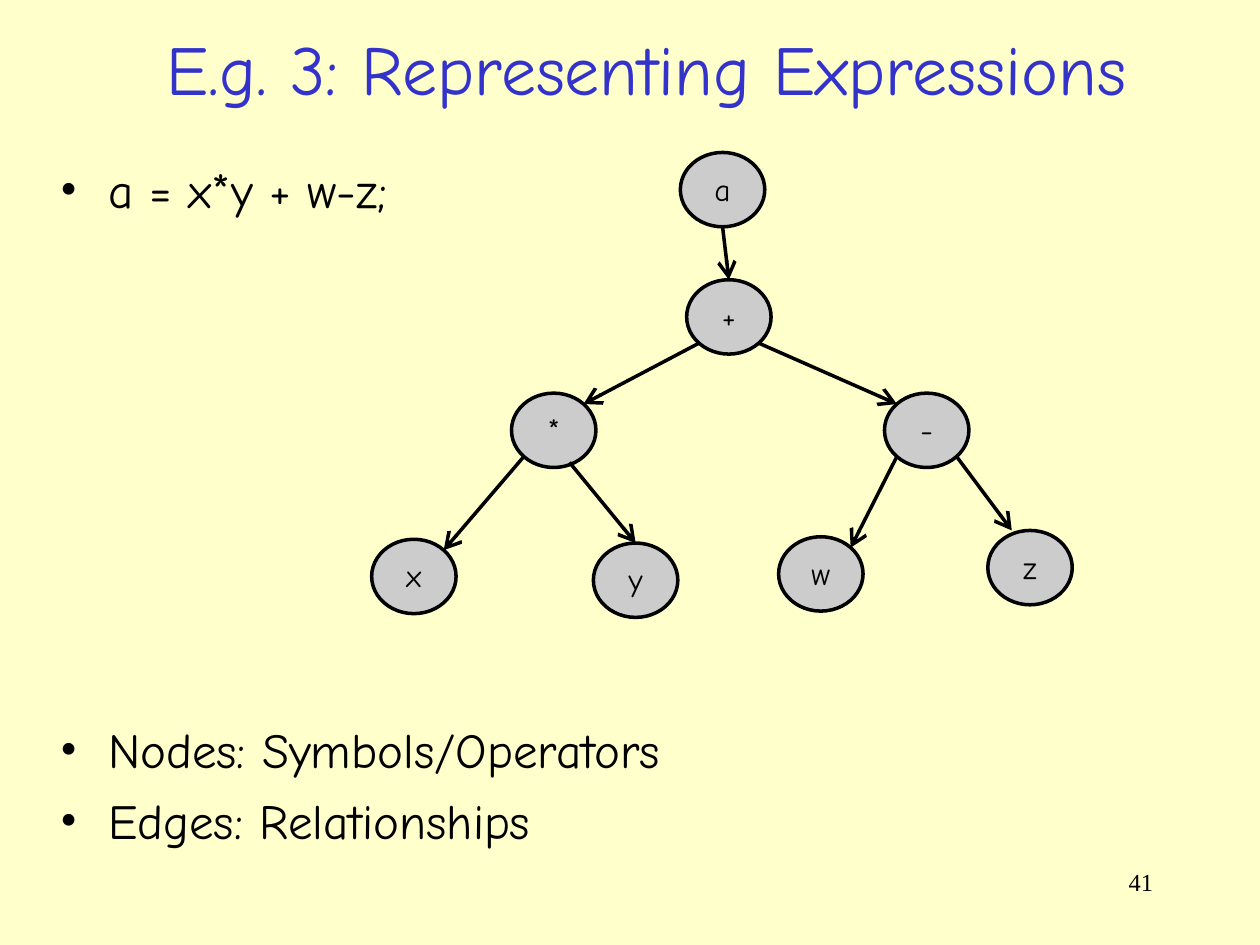
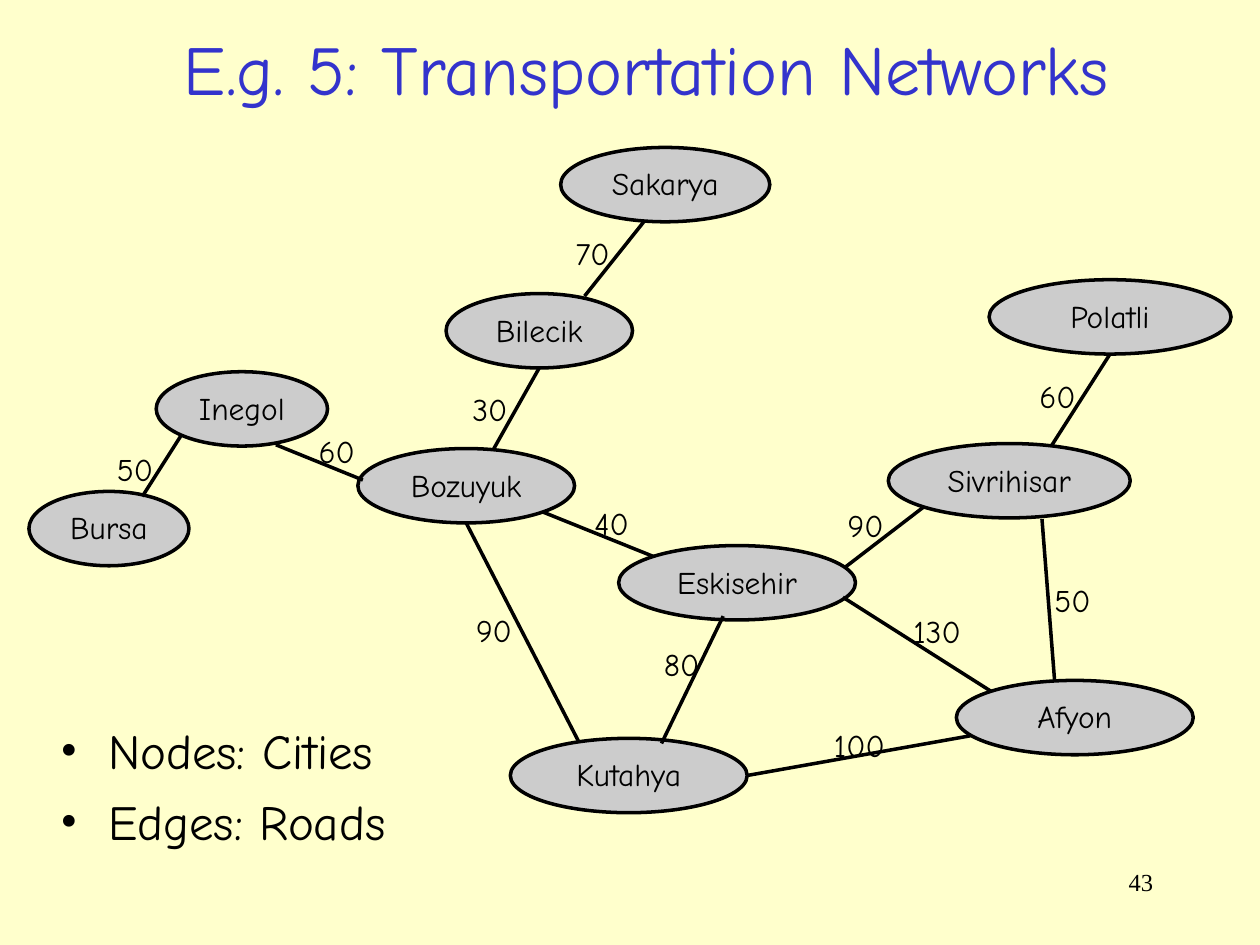
from dataclasses import dataclass
from lxml import etree
from pptx import Presentation
from pptx import util as u
from pptx.dml import color
from pptx.enum import shapes, text
from pptx.oxml import ns


@dataclass(frozen=True)
class Theme:
    page: str = "FFFFCC"
    head: str = "3333CC"
    ink: str = "000000"
    node: str = "CCCCCC"
    font: str = "Comic Neue"
    serif: str = "Times New Roman"
    big: int = 40
    mid: int = 28
    small: int = 18
    foot: int = 14
    line: int = 2


T = Theme()
TALL = 0.59
INDENT = 0.38

SLIDES = [
    {
        "title": "E.g. 3: Representing Expressions",
        "page": 41,
        "lists": [
            ((0.38, 1.22, 9.06, 0.75), ["a = x*y + w-z;"]),
            ((0.38, 5.66, 6.07, 1.37),
             ["Nodes: Symbols/Operators", "Edges: Relationships"]),
        ],
        "nodes": {
            "a": (5.4, 1.21, 0.67),
            "+": (5.45, 2.22, 0.67),
            "*": (4.06, 3.12, 0.67),
            "x": (2.95, 4.28, 0.67),
            "y": (4.71, 4.31, 0.67),
            "-": (7.02, 3.12, 0.67),
            "w": (6.18, 4.26, 0.67),
            "z": (7.84, 4.21, 0.67),
        },
        "arrows": True,
        "edges": [
            (("a", "S"), ("+", "N")),
            (("+", "SW"), ("*", "NE")),
            (("+", "SE"), ("-", "NW")),
            (("*", "SW"), ("x", "NE")),
            ((4.52, 3.67), ("y", "N")),
            (("-", "SW"), ("w", "NE")),
            (("-", "SE"), (8.03, 4.21)),
        ],
        "labels": [],
    },
    {
        "title": "E.g. 5: Transportation Networks",
        "page": 43,
        "lists": [
            ((0.38, 5.67, 3.08, 1.36), ["Nodes: Cities", "Edges: Roads"]),
        ],
        "nodes": {
            "Eskisehir": (4.91, 4.33, 1.88),
            "Bozuyuk": (2.84, 3.56, 1.72),
            "Inegol": (1.24, 2.95, 1.36),
            "Sivrihisar": (7.05, 3.52, 1.92),
            "Bilecik": (3.54, 2.33, 1.48),
            "Sakarya": (4.45, 1.17, 1.66),
            "Polatli": (7.85, 2.22, 1.92),
            "Afyon": (7.59, 5.4, 1.88),
            "Kutahya": (4.05, 5.86, 1.88),
            "Bursa": (0.23, 3.9, 1.27),
        },
        "arrows": False,
        "edges": [
            (("Bozuyuk", "SE"), ("Eskisehir", "NW")),
            ((6.71, 4.5), ("Sivrihisar", "SW")),
            ((3.92, 3.56), ("Bilecik", "S")),
            ((4.64, 2.35), (5.11, 1.76)),
            ((2.19, 3.53), (2.88, 3.81)),
            ((5.25, 5.9), (5.74, 4.89)),
            (("Kutahya", "E"), (7.7, 5.84)),
            ((6.69, 4.74), ("Afyon", "NW")),
            ((8.27, 4.12), (8.37, 5.4)),
            ((8.35, 3.53), ("Polatli", "S")),
            (("Bozuyuk", "S"), (4.59, 5.88)),
            (("Inegol", "SW"), (1.13, 3.94)),
        ],
        "labels": [
            ("50", 0.83, 3.52), ("90", 3.68, 4.8), ("80", 5.17, 5.07),
            ("40", 4.62, 3.95), ("30", 3.65, 3.05), ("70", 4.47, 1.81),
            ("90", 6.63, 3.97), ("60", 8.15, 2.94), ("50", 8.27, 4.56),
            ("130", 7.15, 4.81), ("100", 6.52, 5.71), ("60", 2.43, 3.38),
        ],
    },
]


def rgb(code):
    return color.RGBColor.from_string(code)


def inches(*sizes):
    return [u.Inches(size) for size in sizes]


def write(para, words, size, ink=T.ink, font=T.font, align=None):
    para.alignment = align
    run = para.add_run()
    run.text = words
    run.font.size = u.Pt(size)
    run.font.name = font
    run.font.color.rgb = rgb(ink)


def add_box(slide, place, anchor=text.MSO_ANCHOR.TOP):
    frame = slide.shapes.add_textbox(*inches(*place)).text_frame
    frame.word_wrap = True
    frame.vertical_anchor = anchor
    return frame


def add_list(slide, place, items):
    frame = add_box(slide, place)
    for i, item in enumerate(items):
        para = frame.add_paragraph() if i else frame.paragraphs[0]
        props = para._p.get_or_add_pPr()
        props.set("marL", str(u.Inches(INDENT)))
        props.set("indent", str(-u.Inches(INDENT)))
        etree.SubElement(props, ns.qn("a:buFont")).set("typeface", T.serif)
        etree.SubElement(props, ns.qn("a:buChar")).set("char", "•")
        if i:
            para.space_before = u.Pt(7)
        write(para, item, T.mid)


def add_node(slide, name, left, top, width):
    node = slide.shapes.add_shape(
        shapes.MSO_SHAPE.OVAL, *inches(left, top, width, TALL))
    node.shadow.inherit = False
    node.fill.solid()
    node.fill.fore_color.rgb = rgb(T.node)
    node.line.color.rgb = rgb(T.ink)
    node.line.width = u.Pt(T.line)
    frame = node.text_frame
    frame.word_wrap = True
    frame.vertical_anchor = text.MSO_ANCHOR.TOP
    write(frame.paragraphs[0], name, T.small, align=text.PP_ALIGN.CENTER)


def find(nodes, end):
    if end[0] not in nodes:
        return end
    name, side = end
    left, top, width = nodes[name]
    reach = 0.5 if len(side) == 1 else 0.5 ** 1.5
    across = 0.5 + reach * (("E" in side) - ("W" in side))
    down = 0.5 + reach * (("S" in side) - ("N" in side))
    return left + width * across, top + TALL * down


def add_edge(slide, start, stop, arrow):
    edge = slide.shapes.add_connector(
        shapes.MSO_CONNECTOR.STRAIGHT, *inches(*start, *stop))
    edge.line.color.rgb = rgb(T.ink)
    edge.line.width = u.Pt(T.line)
    if arrow:
        etree.SubElement(edge.line._get_or_add_ln(), ns.qn("a:tailEnd"),
                         type="arrow", w="lg", len="lg")
    etree.SubElement(edge._element.spPr, ns.qn("a:effectLst"))


def add_label(slide, words, left, top):
    frame = add_box(slide, (left, top, 0.3 + 0.1 * len(words), 0.4))
    frame.word_wrap = False
    frame.auto_size = text.MSO_AUTO_SIZE.SHAPE_TO_FIT_TEXT
    write(frame.paragraphs[0], words, T.small)


def add_frame(slide, title, page):
    foot = add_box(slide, (7.17, 6.83, 2.08, 0.5))
    write(foot.paragraphs[0], str(page), T.foot, font=T.serif,
          align=text.PP_ALIGN.RIGHT)
    head = add_box(slide, (0.54, 0.16, 9.18, 0.76), text.MSO_ANCHOR.MIDDLE)
    write(head.paragraphs[0], title, T.big, T.head,
          align=text.PP_ALIGN.CENTER)


def main():
    deck = Presentation()
    deck.slide_width, deck.slide_height = inches(10, 7.5)
    for data in SLIDES:
        slide = deck.slides.add_slide(deck.slide_layouts[6])
        slide.background.fill.solid()
        slide.background.fill.fore_color.rgb = rgb(T.page)
        add_frame(slide, data["title"], data["page"])
        nodes = data["nodes"]
        for name, place in nodes.items():
            add_node(slide, name, *place)
        for start, stop in data["edges"]:
            add_edge(slide, find(nodes, start), find(nodes, stop),
                     data["arrows"])
        for label in data["labels"]:
            add_label(slide, *label)
        for place, items in data["lists"]:
            add_list(slide, place, items)
    deck.save("out.pptx")


if __name__ == "__main__":
    main()
